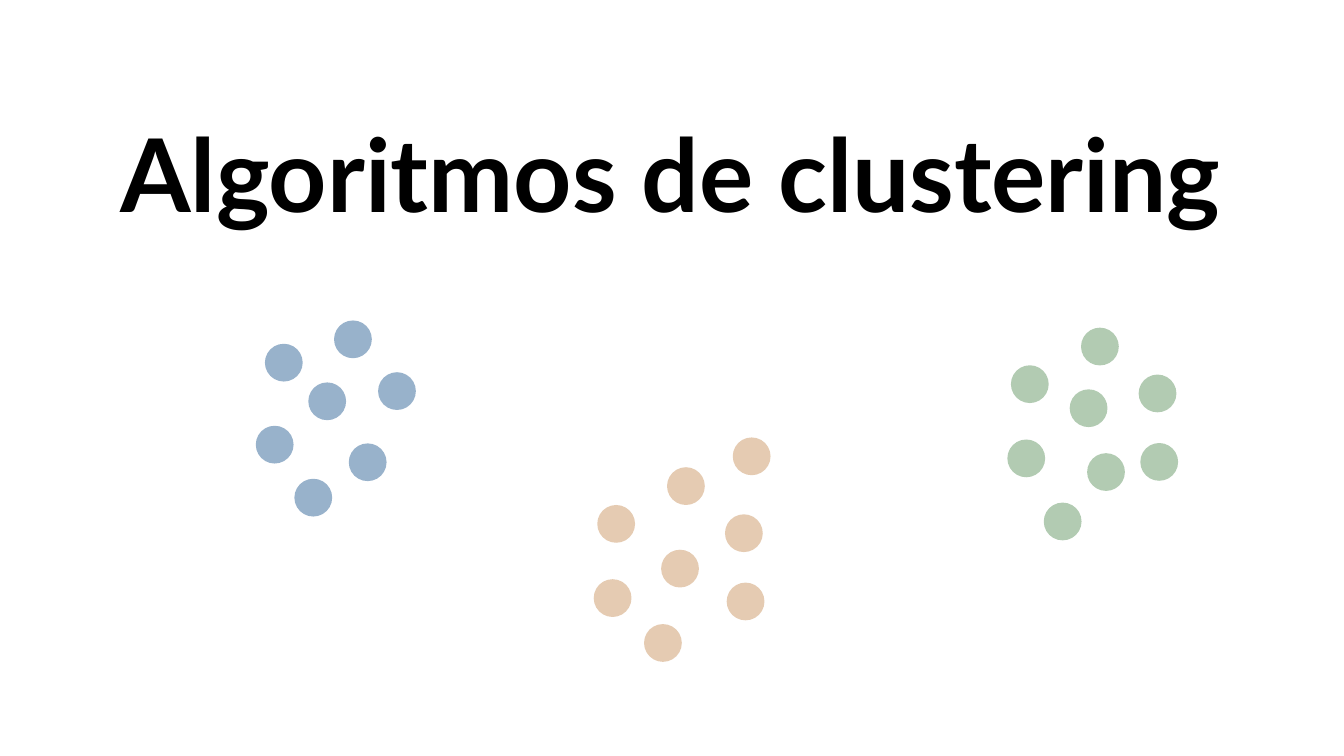
import pptx
import pptx.util
import pptx.dml.color
import pptx.enum.shapes
import pptx.enum.text
import pptx.oxml.ns
import lxml.etree
from dataclasses import dataclass

Pt = pptx.util.Pt


@dataclass(frozen=True)
class Theme:
    font: str = "Lato"
    title: int = 60
    back: str = "FFFFFF"
    ink: str = "000000"
    blue: str = "336699"
    tan: str = "CC9966"
    green: str = "669966"
    alpha: int = 50
    dot: float = 22.3


class Deck:
    def __init__(self, theme, width, height):
        self.theme = theme
        self.file = pptx.Presentation()
        self.file.slide_width = Pt(width)
        self.file.slide_height = Pt(height)
        self.slide = self.file.slides.add_slide(self.file.slide_layouts[6])
        self.paint(self.slide.background.fill, theme.back)

    def paint(self, fill, color):
        fill.solid()
        fill.fore_color.rgb = pptx.dml.color.RGBColor.from_string(color)

    def title(self, words, left, top, width, height):
        box = self.slide.shapes.add_textbox(Pt(left), Pt(top), Pt(width), Pt(height))
        frame = box.text_frame
        frame.word_wrap = True
        frame.auto_size = pptx.enum.text.MSO_AUTO_SIZE.SHAPE_TO_FIT_TEXT
        run = frame.paragraphs[0].add_run()
        run.text = words
        run.font.name = self.theme.font
        run.font.size = Pt(self.theme.title)
        run.font.bold = True
        run.font.color.rgb = pptx.dml.color.RGBColor.from_string(self.theme.ink)

    def dot(self, left, top, color):
        size = Pt(self.theme.dot)
        kind = pptx.enum.shapes.MSO_SHAPE.OVAL
        dot = self.slide.shapes.add_shape(kind, Pt(left), Pt(top), size, size)
        dot.shadow.inherit = False
        dot.line.fill.background()
        self.paint(dot.fill, color)
        # Make the fill see-through
        tint = dot._element.spPr.find(".//" + pptx.oxml.ns.qn("a:srgbClr"))
        alpha = lxml.etree.SubElement(tint, pptx.oxml.ns.qn("a:alpha"))
        alpha.set("val", str(self.theme.alpha * 1000))

    def cluster(self, color, spots):
        for left, top in spots:
            self.dot(left, top, color)


def main():
    theme = Theme()
    deck = Deck(theme, 793.44, 446.4)

    # Heading
    deck.title("Algoritmos de clustering", 64, 62, 698.4, 79.2)

    # Left cluster
    deck.cluster(theme.blue, [
        (156.4, 203), (182, 225.8), (197.2, 189.2), (223.2, 219.8),
        (205.9, 261.8), (151, 251.4), (173.8, 282.7),
    ])

    # Middle cluster
    deck.cluster(theme.tan, [
        (429, 344), (393.8, 275.9), (352.6, 298.2), (428, 303.7),
        (390.3, 324.6), (350.5, 342), (380.2, 368.5), (432.6, 258.3),
    ])

    # Right cluster
    deck.cluster(theme.green, [
        (673.2, 261.6), (638.2, 193.5), (596.8, 215.7), (672.2, 221.2),
        (631.5, 229.9), (594.7, 259.5), (641.8, 267.6), (616.2, 296.8),
    ])

    deck.file.save("out.pptx")


if __name__ == "__main__":
    main()
